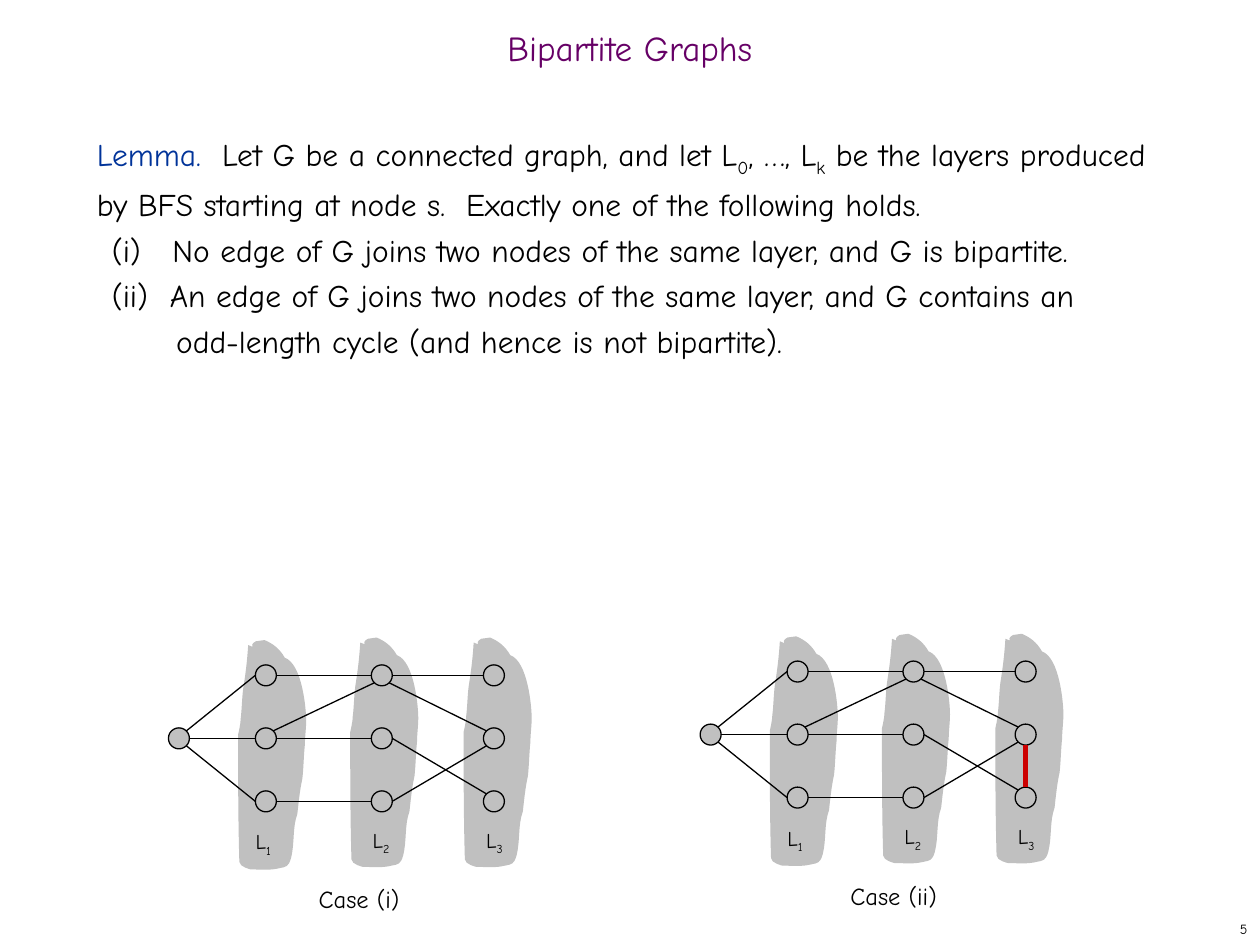
from dataclasses import dataclass

from lxml import etree
from pptx import Presentation
from pptx import util as u
from pptx.dml.color import RGBColor
from pptx.enum import shapes, text
from pptx.oxml import ns


@dataclass(frozen=True)
class Theme:
    """Colours, type sizes and line widths of the slide."""
    font: str = "Comic Neue"
    ink: str = "000000"
    title: str = "660066"
    term: str = "003399"
    layer: str = "C0C0C0"
    odd_edge: str = "CC0000"
    title_size: int = 20
    body_size: int = 18
    case_size: int = 14
    label_size: int = 12
    number_size: int = 8
    thin: float = 0.75
    thick: float = 3


THEME = Theme()
RADIUS = 1 / 12
DIAGONAL = 0.06
COLUMNS = (1.42, 2.11, 3.03, 3.92)
ROWS = (5.36, 5.86, 6.36)
NODES = [(0, 1)] + [(column, row) for column in (1, 2, 3) for row in range(3)]
PORTS = {
    "e": (RADIUS, 0), "w": (-RADIUS, 0), "n": (0, -RADIUS), "s": (0, RADIUS),
    "ne": (DIAGONAL, -DIAGONAL), "nw": (-DIAGONAL, -DIAGONAL),
    "se": (DIAGONAL, DIAGONAL), "sw": (-DIAGONAL, DIAGONAL),
}
EDGES = [
    ((1, 0), "e", (2, 0), "w"), ((1, 1), "ne", (2, 0), "sw"), ((1, 1), "e", (2, 1), "w"),
    ((1, 2), "e", (2, 2), "w"), ((0, 1), "ne", (1, 0), "w"), ((0, 1), "e", (1, 1), "w"),
    ((0, 1), "se", (1, 2), "w"), ((2, 0), "se", (3, 1), "nw"), ((2, 2), "e", (3, 1), "sw"),
    ((2, 1), "e", (3, 2), "nw"), ((2, 0), "e", (3, 0), "w"),
]
ODD_EDGE = ((3, 2), "n", (3, 1), "s")
LAYERS = [
    ("1", (1.89, 5.08), (1.93, 6.53, 0.32, 0.33)),
    ("2", (2.78, 5.06), (2.86, 6.52, 0.34, 0.33)),
    ("3", (3.68, 5.06), (3.76, 6.52, 0.33, 0.33)),
]
BLOB_START = (0.08, 0.04)
BLOB_CURVES = [
    ((0.07, 0.19), (0.06, 0.26), (0.04, 0.39)),
    ((0.03, 0.47), (0.03, 0.55), (0.02, 0.63)),
    ((0.02, 0.67), (0, 0.75), (0, 0.75)),
    ((0, 1.09), (0, 1.43), (0.01, 1.76)),
    ((0.01, 1.8), (0.1, 1.82), (0.1, 1.82)),
    ((0.18, 1.82), (0.25, 1.83), (0.33, 1.81)),
    ((0.38, 1.8), (0.4, 1.8), (0.42, 1.73)),
    ((0.45, 1.61), (0.43, 1.49), (0.47, 1.38)),
    ((0.48, 1.29), (0.49, 1.19), (0.51, 1.1)),
    ((0.52, 1.01), (0.52, 0.92), (0.53, 0.83)),
    ((0.53, 0.77), (0.54, 0.7), (0.54, 0.64)),
    ((0.54, 0.55), (0.51, 0.19), (0.37, 0.14)),
    ((0.33, 0.07), (0.28, 0.03), (0.21, 0)),
    ((0.19, 0.01), (0.16, 0), (0.14, 0.01)),
    ((0.07, 0.05), (0.16, 0.07), (0.08, 0.04)),
]


def colour(value):
    """Turn a hex string into a colour."""
    return RGBColor.from_string(value)


def add_span(para, words, size, ink=THEME.ink, subscript=False):
    """Append one styled run."""
    span = para.add_run()
    span.text = words
    span.font.name = THEME.font
    span.font.size = u.Pt(size)
    span.font.color.rgb = colour(ink)
    if subscript:
        span.font._element.set("baseline", "-25000")


def add_box(page, area, wrap=False, anchor=text.MSO_ANCHOR.TOP):
    """Add an empty text box and return its frame."""
    frame = page.shapes.add_textbox(*map(u.Inches, area)).text_frame
    frame.word_wrap = wrap
    frame.vertical_anchor = anchor
    return frame


def add_words(page, area, words, size, ink=THEME.ink, align=None, **options):
    """Add a one-line text box and return its paragraph."""
    para = add_box(page, area, **options).paragraphs[0]
    para.alignment = align
    add_span(para, words, size, ink)
    return para


def add_lemma(page):
    """Write the lemma and its two hanging cases."""
    frame = add_box(page, (0.67, 1, 8.58, 5.92), wrap=True)
    size = THEME.body_size
    para = frame.paragraphs[0]
    para.line_spacing = u.Pt(26)
    add_span(para, "Lemma.  ", size, THEME.term)
    for words, subscript in (
        ("Let G be a connected graph, and let L", False), ("0", True),
        (", …, L", False), ("k", True),
        (" be the layers produced by BFS starting at node s.  "
         "Exactly one of the following holds.", False),
    ):
        add_span(para, words, size, subscript=subscript)
    for margin, first, words in (
        (0.6, 0.12, "(i)\tNo edge of G joins two nodes of the same layer, and G is bipartite."),
        (0.58, 0.12, "(ii)\tAn edge of G joins two nodes of the same layer, and G contains an"),
        (0.63, 0.63, "odd-length cycle (and hence is not bipartite)."),
    ):
        para = frame.add_paragraph()
        para.line_spacing = u.Pt(26)
        properties = para._p.get_or_add_pPr()
        properties.set("marL", str(u.Inches(margin)))
        properties.set("indent", str(u.Inches(first - margin)))
        add_span(para, words, size)


def add_blob(page, left, top):
    """Draw a hand-drawn layer outline from cubic curves."""
    corners = [BLOB_START] + [curve[-1] for curve in BLOB_CURVES]
    place = [(u.Inches(left + x), u.Inches(top + y)) for x, y in corners]
    builder = page.shapes.build_freeform(*place[0])
    builder.add_line_segments(place[1:], close=True)
    blob = builder.convert_to_shape()
    segments = list(blob._element.iter(ns.qn("a:lnTo")))
    for segment, curve in zip(segments, BLOB_CURVES):
        bend = etree.Element(ns.qn("a:cubicBezTo"))
        for x, y in curve:
            etree.SubElement(bend, ns.qn("a:pt"), x=str(u.Inches(x)), y=str(u.Inches(y)))
        segment.getparent().replace(segment, bend)
    blob.shadow.inherit = False
    blob.fill.solid()
    blob.fill.fore_color.rgb = colour(THEME.layer)
    blob.line.fill.background()


def add_node(page, x, y):
    """Draw a graph node around its centre."""
    node = page.shapes.add_shape(
        shapes.MSO_SHAPE.OVAL, u.Inches(x - RADIUS), u.Inches(y - RADIUS),
        u.Inches(2 * RADIUS), u.Inches(2 * RADIUS))
    node.shadow.inherit = False
    node.fill.solid()
    node.fill.fore_color.rgb = colour(THEME.layer)
    node.line.color.rgb = colour(THEME.ink)
    node.line.width = u.Pt(THEME.thin)


def add_edge(page, edge, shift, ink=THEME.ink, width=THEME.thin):
    """Join two nodes at their named ports."""
    ends = []
    for (column, row), port in (edge[:2], edge[2:]):
        dx, dy = PORTS[port]
        ends += [u.Inches(COLUMNS[column] + dx + shift[0]),
                 u.Inches(ROWS[row] + dy + shift[1])]
    line = page.shapes.add_connector(shapes.MSO_CONNECTOR.STRAIGHT, *ends)
    line.line.color.rgb = colour(ink)
    line.line.width = u.Pt(width)
    etree.SubElement(line._element.spPr, ns.qn("a:effectLst"))


def add_case(page, caption, caption_area, shift):
    """Draw one layered graph with its labels and caption."""
    dx, dy = shift
    for _, (left, top), _ in reversed(LAYERS):
        add_blob(page, left + dx, top + dy)
    for column, row in NODES:
        add_node(page, COLUMNS[column] + dx, ROWS[row] + dy)
    for edge in EDGES:
        add_edge(page, edge, shift)
    add_words(page, caption_area, caption, THEME.case_size)
    for number, _, (left, top, width, height) in LAYERS:
        para = add_words(page, (left + dx, top + dy, width, height), "L", THEME.label_size)
        add_span(para, number, THEME.label_size, subscript=True)


def main():
    """Build and save the slide."""
    deck = Presentation()
    deck.slide_width, deck.slide_height = u.Inches(10), u.Inches(7.5)
    page = deck.slides.add_slide(deck.slide_layouts[6])
    middle = text.MSO_ANCHOR.MIDDLE
    add_words(page, (7.92, 7.25, 2.08, 0.25), "5", THEME.number_size,
              align=text.PP_ALIGN.RIGHT, anchor=middle)
    title = add_words(page, (0, 0.17, 10, 0.5), "Bipartite Graphs", THEME.title_size,
                      THEME.title, text.PP_ALIGN.CENTER, wrap=True, anchor=middle)
    title.line_spacing = 0.7
    add_lemma(page)
    add_case(page, "Case (i)", (2.43, 6.97, 0.85, 0.33), (0, 0))
    shift = (4.22, -0.03)
    add_case(page, "Case (ii)", (6.65, 6.94, 0.89, 0.33), shift)
    add_edge(page, ODD_EDGE, shift, THEME.odd_edge, THEME.thick)
    deck.save("out.pptx")


if __name__ == "__main__":
    main()
